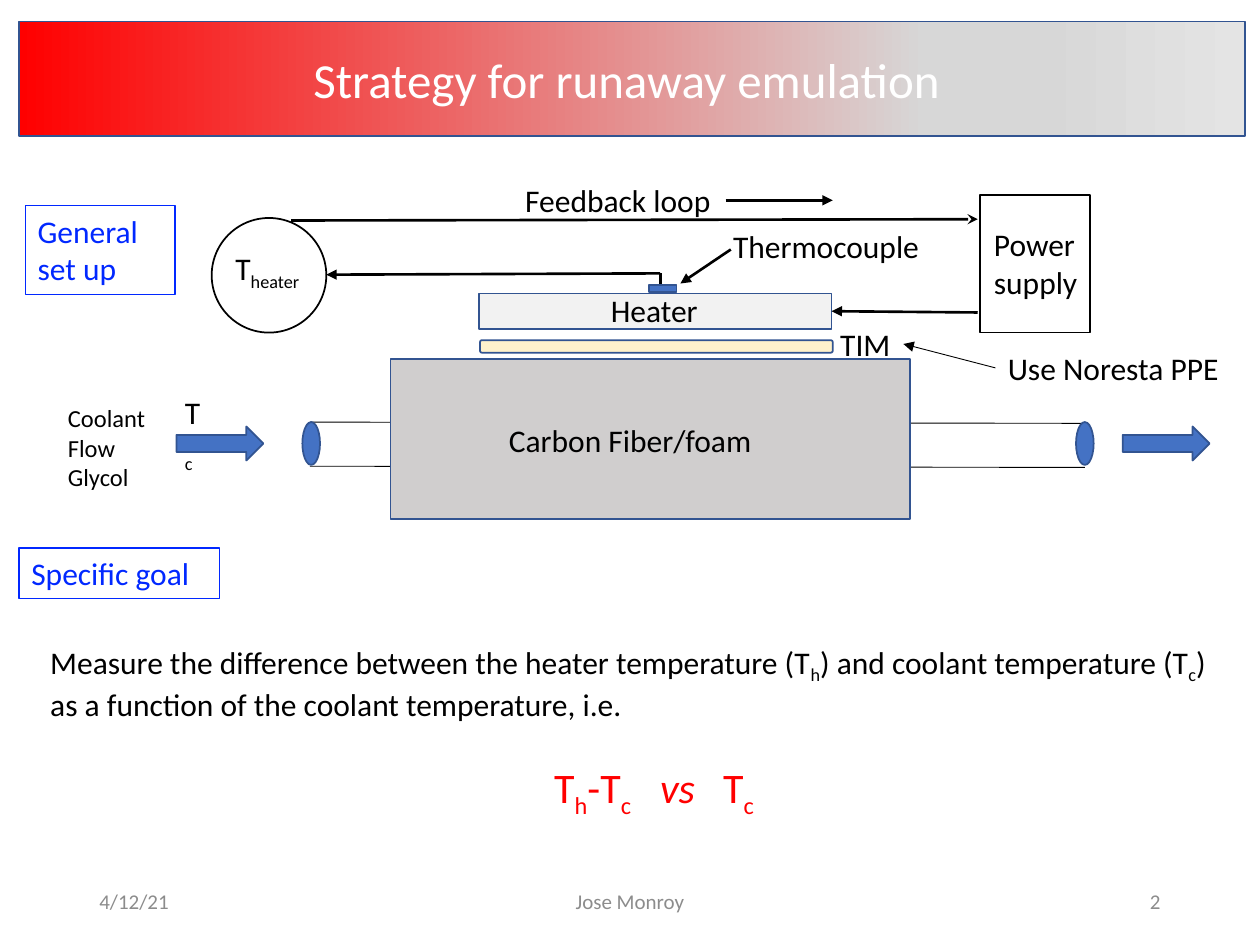
from dataclasses import dataclass

from lxml.etree import SubElement
from pptx import Presentation
from pptx.dml.color import RGBColor
from pptx.enum.shapes import MSO_CONNECTOR, MSO_SHAPE
from pptx.enum.text import MSO_ANCHOR, MSO_AUTO_SIZE, PP_ALIGN
from pptx.oxml.ns import qn
from pptx.util import Inches, Pt


@dataclass(frozen=True)
class Theme:
    """Colours, type sizes and line widths of the slide."""

    font: str = "Calibri"
    title: int = 28
    formula: int = 24
    body: int = 18
    small: int = 14
    footer: int = 12
    ink: str = "000000"
    white: str = "FFFFFF"
    grey: str = "8C8C8C"
    heading: str = "0128FF"
    red: str = "FF0000"
    blue: str = "4472C4"
    outline: str = "325491"
    block: str = "D0CECE"
    heater: str = "F2F2F2"
    interface: str = "FFF2CC"
    banner: tuple = ((0, "FF0000"), (74, "D7D7D7"), (83, "D7D7D7"), (100, "E4E4E4"))
    thin: float = 0.5
    frame: float = 0.75
    edge: float = 1
    bold_line: float = 1.5


@dataclass(frozen=True)
class Span:
    """A stretch of text, optionally lowered or italic."""

    text: str
    low: bool = False
    italic: bool = False


THEME = Theme()
WIDTH, HEIGHT = Inches(10), Inches(7.5)
COLUMNS, ROWS = 100, 75


def grid(*values):
    """Turn alternating columns and rows into slide lengths."""
    units = (WIDTH / COLUMNS, HEIGHT / ROWS)
    return [round(value * units[index % 2]) for index, value in enumerate(values)]


def write_paragraph(para, content, size, color, align=PP_ALIGN.LEFT):
    """Fill a paragraph run by run from a string or a list of spans."""
    para.alignment = align
    for span in [Span(content)] if isinstance(content, str) else content:
        run = para.add_run()
        run.text = span.text
        run.font.name = THEME.font
        run.font.size = Pt(size)
        run.font.color.rgb = RGBColor.from_string(color)
        if span.italic:
            run.font.italic = True
        if span.low:
            run.font._element.set("baseline", "-25000")


def write(shape, paragraphs, size=THEME.body, color=THEME.ink, align=PP_ALIGN.LEFT,
          anchor=MSO_ANCHOR.TOP, wrap=True, grow=True):
    """Write paragraphs into a shape's text frame."""
    frame = shape.text_frame
    frame.word_wrap = wrap
    frame.vertical_anchor = anchor
    frame.auto_size = MSO_AUTO_SIZE.SHAPE_TO_FIT_TEXT if grow else MSO_AUTO_SIZE.NONE
    for index, content in enumerate(paragraphs):
        para = frame.add_paragraph() if index else frame.paragraphs[0]
        write_paragraph(para, content, size, color, align)


def add_label(page, area, *paragraphs, **style):
    """Add a text box."""
    box = page.shapes.add_textbox(*grid(*area))
    write(box, paragraphs, **style)
    return box


def add_part(page, kind, area, fill=None, line=THEME.outline, width=THEME.edge):
    """Add a preset shape with a plain fill or none."""
    part = page.shapes.add_shape(kind, *grid(*area))
    part.shadow.inherit = False
    if fill:
        part.fill.solid()
        part.fill.fore_color.rgb = RGBColor.from_string(fill)
    else:
        part.fill.background()
    part.line.color.rgb = RGBColor.from_string(line)
    part.line.width = Pt(width)
    return part


def add_heading(page, area, text):
    """Add a framed section heading."""
    box = add_part(page, MSO_SHAPE.RECTANGLE, area, line=THEME.heading, width=THEME.frame)
    write(box, [text], color=THEME.heading)


def add_line(page, start, end, width=THEME.bold_line, head=None):
    """Add a straight line with an optional arrowhead at its end."""
    line = page.shapes.add_connector(MSO_CONNECTOR.STRAIGHT, *grid(*start, *end))
    line.line.color.rgb = RGBColor.from_string(THEME.ink)
    line.line.width = Pt(width)
    if head:
        SubElement(line.line._get_or_add_ln(), qn("a:tailEnd"), type=head)
    SubElement(line._element.spPr, qn("a:effectLst"))
    return line


def add_banner(page):
    """Add the title banner with its left-to-right gradient."""
    banner = add_part(page, MSO_SHAPE.RECTANGLE, (1.5, 1.7, 97.3, 9.1))
    banner.fill.gradient()
    banner.fill.gradient_angle = 0
    stops = banner._element.spPr.find(qn("a:gradFill")).find(qn("a:gsLst"))
    for stop in list(stops):
        stops.remove(stop)
    for position, color in THEME.banner:
        stop = SubElement(stops, qn("a:gs"), pos=str(position * 1000))
        SubElement(stop, qn("a:srgbClr"), val=color)
    write(banner, ["Strategy for runaway emulation "], THEME.title, THEME.white,
          PP_ALIGN.CENTER, MSO_ANCHOR.MIDDLE, grow=False)


def add_footer(page):
    """Add date, author and page number."""
    for left, width, text, align in (
        (6.9, 22.5, "4/12/21", PP_ALIGN.LEFT),
        (33.1, 33.8, "Jose Monroy", PP_ALIGN.CENTER),
        (70.6, 22.5, "2", PP_ALIGN.RIGHT),
    ):
        add_label(page, (left, 69.5, width, 4), text, size=THEME.footer, color=THEME.grey,
                  align=align, anchor=MSO_ANCHOR.MIDDLE, grow=False)


def add_goal(page):
    """Add the goal statement and its tabbed formula."""
    add_heading(page, (1.5, 43.5, 15.9, 4), "Specific goal")
    box = add_label(
        page, (3, 50.5, 95.9, 14.1),
        [Span("Measure the difference between the heater temperature (T"), Span("h", low=True),
         Span(") and coolant temperature (T"), Span("c", low=True), Span(")")],
        "as a function of the coolant temperature, i.e.",
    )
    para = box.text_frame.add_paragraph()
    para.space_before = Pt(22)
    tabs = SubElement(para._p.get_or_add_pPr(), qn("a:tabLst"))
    for column in (40, 48.4, 53.4):
        SubElement(tabs, qn("a:tab"), pos=str(grid(column)[0]), algn="l")
    write_paragraph(
        para,
        [Span("\tT"), Span("h", low=True), Span("-T"), Span("c", low=True),
         Span("\tvs", italic=True), Span("\tT"), Span("c", low=True)],
        THEME.formula, THEME.red)


def add_cold_plate(page):
    """Add the coolant pipe, the carbon block, the heater stack and flow arrows."""
    add_line(page, (52.4, 21.7), (52.4, 25))
    add_part(page, MSO_SHAPE.ROUNDED_RECTANGLE, (38.1, 27, 28, 1), THEME.interface)
    for top in (33.5, 37):
        add_line(page, (24.6, top), (86.1, top + 0.1), THEME.thin)
    for left in (24, 85.4):
        add_part(page, MSO_SHAPE.OVAL, (left, 33.5, 1.4, 3.4), THEME.blue)
    for left in (14, 89.1):
        add_part(page, MSO_SHAPE.RIGHT_ARROW, (left, 33.85, 6.9, 2.7), THEME.blue)
    add_part(page, MSO_SHAPE.RECTANGLE, (31, 28.5, 41.2, 12.7), THEME.block)
    heater = add_part(page, MSO_SHAPE.RECTANGLE, (38, 23.3, 28, 2.8), THEME.heater)
    add_part(page, MSO_SHAPE.RECTANGLE, (51.5, 22.6, 2.2, 0.6), THEME.blue)
    for area, text in (
        ((47.5, 22.6, 9, 4), "Heater"),
        ((65.7, 25.3, 6, 4), "TIM"),
        ((39.4, 32.9, 22.1, 4), "Carbon Fiber/foam"),
        ((13.7, 30.7, 3.7, 4), [Span("T"), Span("c", low=True)]),
    ):
        add_label(page, area, text, wrap=False)
    add_label(page, (4.4, 31.5, 8.2, 8.1), "Coolant", "Flow", "Glycol",
              size=THEME.small, wrap=False)
    return heater


def add_feedback_loop(page, heater):
    """Add the sensor, the power supply and the arrows that close the loop."""
    add_heading(page, (2, 16.3, 11.9, 7.1), "General set up")
    add_part(page, MSO_SHAPE.OVAL, (16.8, 17.3, 9.1, 9.1), line=THEME.ink)
    add_label(page, (17.7, 19.3, 8.3, 4), [Span("T"), Span("heater", low=True)])
    add_part(page, MSO_SHAPE.RECTANGLE, (77.8, 15.5, 8.7, 10.9), line=THEME.ink)
    add_label(page, (77.9, 17.4, 8.7, 7.1), "Power supply")
    loop = add_label(page, (40.7, 13.9, 16.9, 4), "Feedback loop", wrap=False)
    advice = add_label(page, (79, 27.2, 19.8, 4), "Use Noresta PPE", wrap=False)
    add_label(page, (57.2, 17.5, 17, 4), "Thermocouple", wrap=False)
    add_line(page, (23.1, 17.5), (77.6, 17.4), head="stealth")
    add_line(page, (52.4, 21.7), (25.9, 21.8), head="triangle")
    add_line(page, (58, 19.8), (54, 22.5), head="triangle")
    supply = add_line(page, (77.6, 24.8), (66, 24.7), head="triangle")
    supply.end_connect(heater, 3)
    direction = add_line(page, (57.6, 15.9), (66.1, 15.9), head="triangle")
    direction.begin_connect(loop, 3)
    pointer = add_line(page, (79, 29.2), (71.7, 27.3), THEME.thin, "triangle")
    pointer.begin_connect(advice, 1)


def main():
    """Build the slide and save it."""
    deck = Presentation()
    deck.slide_width, deck.slide_height = WIDTH, HEIGHT
    page = deck.slides.add_slide(deck.slide_layouts[6])
    add_footer(page)
    add_banner(page)
    add_goal(page)
    heater = add_cold_plate(page)
    add_feedback_loop(page, heater)
    deck.save("out.pptx")


if __name__ == "__main__":
    main()
